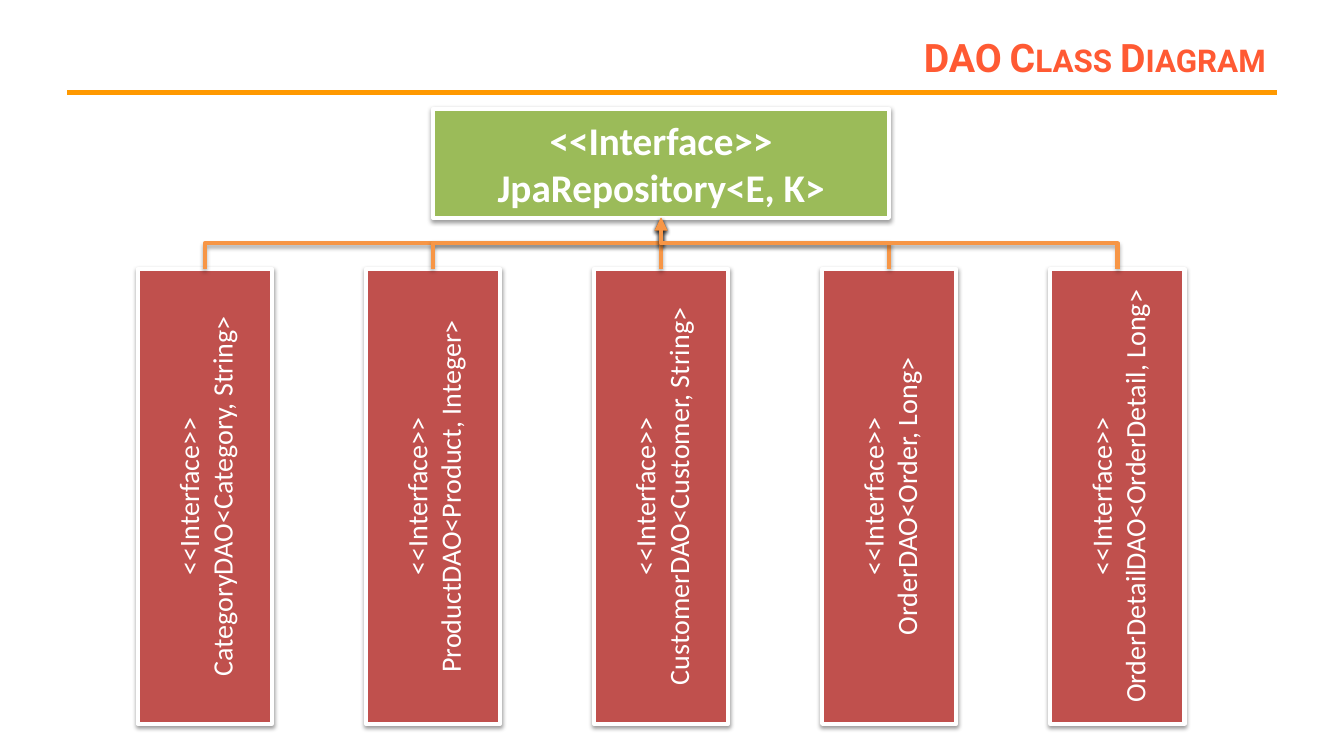
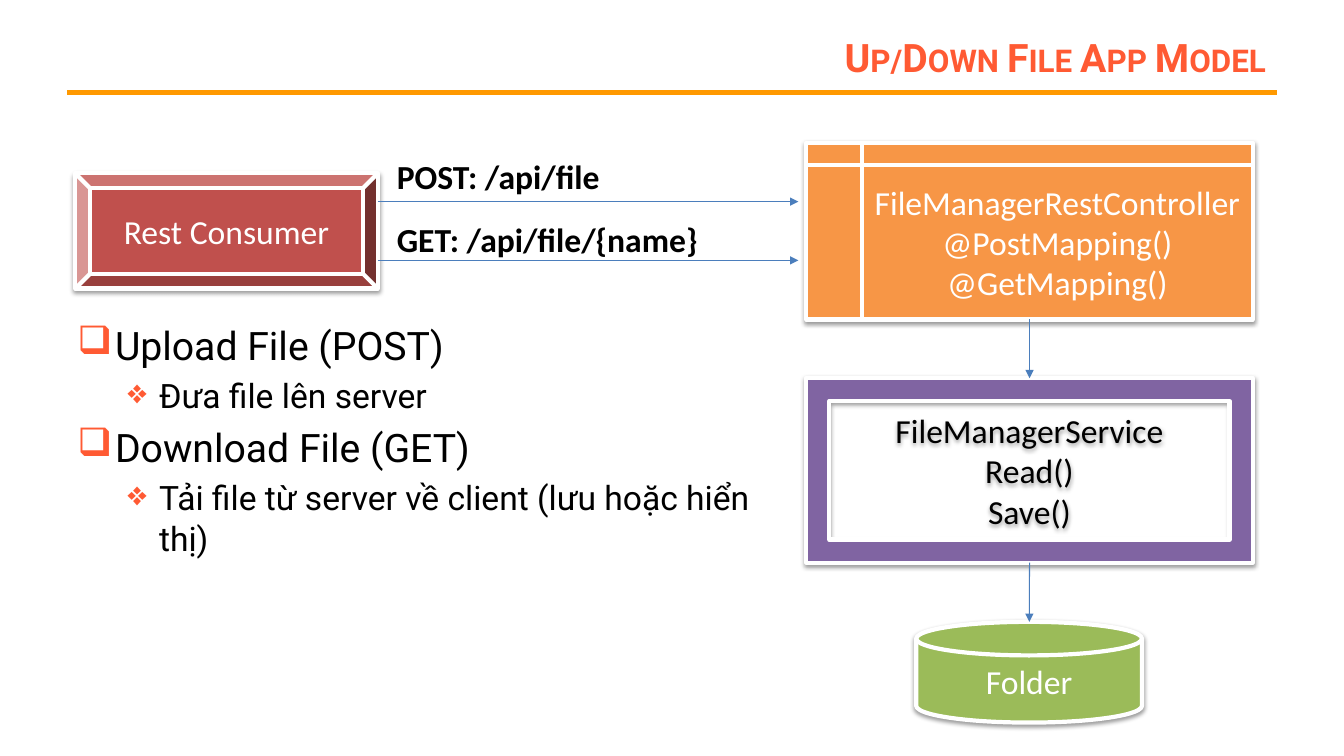
from lxml.etree import SubElement
from pptx import Presentation
from pptx.dml.color import RGBColor
from pptx.enum.shapes import MSO_CONNECTOR, MSO_SHAPE
from pptx.enum.text import MSO_ANCHOR, PP_ALIGN
from pptx.oxml.ns import qn
from pptx.util import Cm, Pt

WHITE = RGBColor(0xFF, 0xFF, 0xFF)
BLACK = RGBColor(0, 0, 0)
CORAL = RGBColor(0xFF, 0x5A, 0x33)
AMBER = RGBColor(0xFF, 0x99, 0x00)
GREEN = RGBColor(0x9B, 0xBB, 0x59)
RED = RGBColor(0xC0, 0x50, 0x4D)
ORANGE = RGBColor(0xF7, 0x96, 0x46)
PURPLE = RGBColor(0x80, 0x64, 0xA2)
BLUE = RGBColor(0x4B, 0x7E, 0xBC)


class Deck:
    head, body = "Roboto", "Calibri"
    # Per level: bullet, size, indent and hang in cm
    levels = (("❑", 28, 0.95, 0.95), ("❖", 24, 2.06, 0.79))

    def __init__(self):
        self.prs = Presentation()
        self.prs.slide_width, self.prs.slide_height = Cm(33.87), Cm(19.05)
        self.slide = None

    def start(self, text):
        """Add a slide with its title and rule."""
        self.slide = self.prs.slides.add_slide(self.prs.slide_layouts[5])
        title = self.slide.shapes.title
        title.left, title.top = Cm(6.2), Cm(0.76)
        title.width, title.height = Cm(25.96), Cm(1.35)
        frame = title.text_frame
        frame.vertical_anchor = MSO_ANCHOR.MIDDLE
        para = frame.paragraphs[0]
        para.alignment = PP_ALIGN.RIGHT
        run = self.run(para, text, 28, CORAL, self.head, True)
        run.font._element.set("cap", "small")
        self.line((1.7, 2.33), (32.18, 2.33), AMBER, 3, tip=False)

    def run(self, para, text, size, color, font, bold=False):
        run = para.add_run()
        run.text = text
        run.font.name, run.font.size = font, Pt(size)
        run.font.color.rgb, run.font.bold = color, bold
        return run

    def shade(self, effect, dist, alpha):
        """Put a soft shadow below the shape."""
        cast = SubElement(effect, qn("a:outerShdw"), blurRad="40000",
                          dist=str(dist), dir="5400000", rotWithShape="0")
        tint = SubElement(cast, qn("a:srgbClr"), val=str(BLACK))
        SubElement(tint, qn("a:alpha"), val=str(alpha * 1000))

    def box(self, kind, place, fill, lines, size=24, color=WHITE,
            bold=False, upright=False):
        shape = self.slide.shapes.add_shape(kind, *map(Cm, place))
        shape.fill.solid()
        shape.fill.fore_color.rgb = fill
        shape.line.color.rgb, shape.line.width = WHITE, Pt(3)
        shape.shadow.inherit = False
        self.shade(shape._element.spPr.find(qn("a:effectLst")), 20000, 38)
        frame = shape.text_frame
        frame.vertical_anchor = MSO_ANCHOR.MIDDLE
        if upright:
            frame._txBody.bodyPr.set("vert", "vert270")
        for i, text in enumerate(lines):
            para = frame.add_paragraph() if i else frame.paragraphs[0]
            para.alignment = PP_ALIGN.CENTER
            self.run(para, text, size, color, self.body, bold)
        return shape

    def line(self, start, end, color, width, tip=True, shade=False,
             kind=MSO_CONNECTOR.STRAIGHT):
        wire = self.slide.shapes.add_connector(
            kind, *map(Cm, (*start, *end)))
        wire.line.color.rgb, wire.line.width = color, Pt(width)
        if tip:
            SubElement(wire.line._get_or_add_ln(), qn("a:tailEnd"),
                       type="triangle")
        effect = SubElement(wire._element.spPr, qn("a:effectLst"))
        if shade:
            self.shade(effect, 23000, 35)
        return wire

    def bend(self, start, end, color, width):
        """Draw an elbow that leaves upward: a turned sideways elbow."""
        (x1, y1), (x2, y2) = start, end
        mid_x, mid_y = (x1 + x2) / 2, (y1 + y2) / 2
        span, rise = abs(x2 - x1) / 2, (y1 - y2) / 2
        side = 1 if x1 < x2 else -1
        wire = self.line((mid_x + side * rise, mid_y + span),
                         (mid_x - side * rise, mid_y - span),
                         color, width, shade=True, kind=MSO_CONNECTOR.ELBOW)
        turn = 90 if side > 0 else 270
        wire._element.spPr.find(qn("a:xfrm")).set("rot", str(turn * 60000))

    def label(self, place, text):
        area = self.slide.shapes.add_textbox(*map(Cm, place))
        area.text_frame.word_wrap = False
        self.run(area.text_frame.paragraphs[0], text, 24, BLACK,
                 self.body, True)

    def list(self, place, items):
        frame = self.slide.shapes.add_textbox(*map(Cm, place)).text_frame
        frame.word_wrap = True
        for i, (level, text) in enumerate(items):
            mark, size, left, hang = self.levels[level]
            para = frame.add_paragraph() if i else frame.paragraphs[0]
            para.level = level
            props = para._p.get_or_add_pPr()
            props.set("marL", str(Cm(left)))
            props.set("indent", str(-Cm(hang)))
            tint = SubElement(props, qn("a:buClr"))
            SubElement(tint, qn("a:srgbClr"), val=str(CORAL))
            SubElement(props, qn("a:buChar"), char=mark)
            if i:
                para.space_before = Pt(size * 0.2)
            self.run(para, text, size, BLACK, self.head)


def draw_dao(deck):
    deck.start("DAO Class Diagram")
    mid, step, wide, top, low = 16.66, 5.75, 3.38, 6.78, 5.49
    tag = "<<Interface>>"

    # Parent interface
    base = deck.box(MSO_SHAPE.RECTANGLE, (10.92, 2.74, 11.48, 2.75), GREEN,
                    (tag, "JpaRepository<E, K>"), 28, bold=True)

    # Child interfaces, evenly spaced around the middle
    names = ("CategoryDAO<Category, String>", "ProductDAO<Product, Integer>",
             "CustomerDAO<Customer, String>", "OrderDAO<Order, Long>",
             "OrderDetailDAO<OrderDetail, Long>")
    spots = [mid + (i - 2) * step for i in range(len(names))]
    kids = [deck.box(MSO_SHAPE.RECTANGLE, (x - wide / 2, top, wide, 11.46),
                     RED, (tag, name), 20, upright=True)
            for x, name in zip(spots, names)]

    # Inheritance arrows
    for x, kid in zip(spots, kids):
        if x == mid:
            wire = deck.line((x, top), (mid, low), ORANGE, 3, shade=True)
            wire.begin_connect(kid, 0)
            wire.end_connect(base, 2)
        else:
            deck.bend((x, top), (mid, low), ORANGE, 3)


def draw_files(deck):
    deck.start("Up/Down File App Model")

    # Bullets
    deck.list((1.7, 7.98, 18.57, 7.26), (
        (0, "Upload File (POST)"),
        (1, "Đưa file lên server"),
        (0, "Download File (GET)"),
        (1, "Tải file từ server về client (lưu hoặc hiển thị)")))

    # Components
    deck.box(MSO_SHAPE.FLOWCHART_MAGNETIC_DISK, (23.09, 15.67, 5.69, 2.54),
             GREEN, ("Folder",))
    store = deck.box(MSO_SHAPE.FRAME, (20.32, 9.53, 11.25, 4.65), PURPLE,
                     ("FileManagerService", "Read()", "Save()"), color=BLACK)
    api = deck.box(MSO_SHAPE.FLOWCHART_INTERNAL_STORAGE,
                   (20.32, 3.6, 11.25, 4.45), ORANGE,
                   ("FileManagerRestController", "@PostMapping()",
                    "@GetMapping()"))
    deck.box(MSO_SHAPE.BEVEL, (1.9, 4.37, 7.62, 2.9), RED,
             ("Rest Consumer",))

    # Requests
    for y, top, wide, text in ((5.08, 3.81, 5.69, "POST: /api/file"),
                               (6.56, 5.38, 8.18, "GET: /api/file/{name}")):
        deck.line((9.52, y), (20.12, y), BLUE, 0.75)
        deck.label((9.75, top, wide, 1.28), text)

    # Calls down to the folder
    mid = 25.94
    call = deck.line((mid, 8.05), (mid, 9.53), BLUE, 0.75)
    call.begin_connect(api, 2)
    call.end_connect(store, 0)
    save = deck.line((mid, 14.18), (mid, 15.67), BLUE, 0.75)
    save.begin_connect(store, 2)


def main():
    deck = Deck()
    draw_dao(deck)
    draw_files(deck)
    deck.prs.save("out.pptx")


if __name__ == "__main__":
    main()
